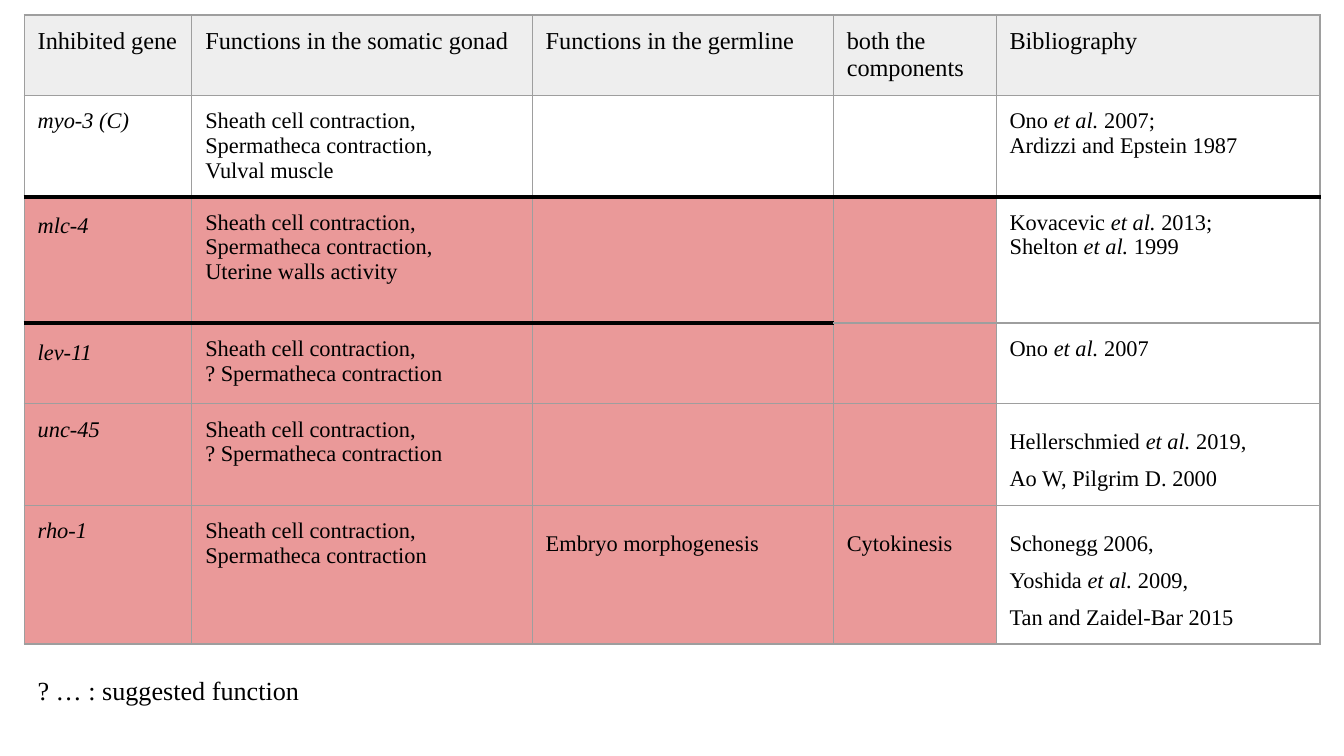
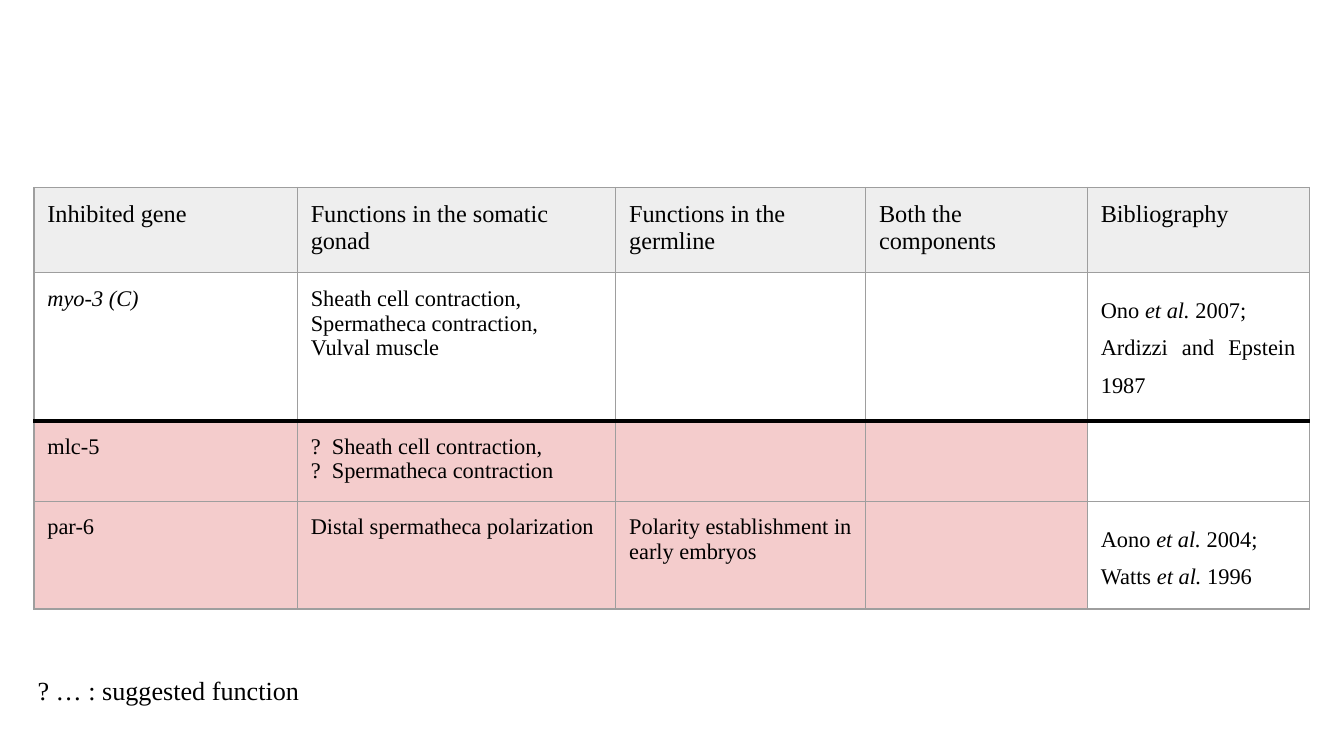
from dataclasses import dataclass

import lxml.etree
import pptx
import pptx.dml.color
import pptx.enum.text
import pptx.oxml.ns
import pptx.util

Pt = pptx.util.Pt

FONT = "Times New Roman"
INK = "000000"
GRID = "9E9E9E"
HEADER_FILL = "EEEEEE"
CITATION_FILL = "FFFFFF"
STRONG_EFFECT = "EA9999"
MILD_EFFECT = "F4CCCC"
INSET = 7.2
HEADER_SIZE, ENTRY_SIZE, LEGEND_SIZE = 13, 12, 14
THIN, HEAVY = 0.75, 2.25
CONTROL_ROW = 1
LEGEND = "? … : suggested function"


@dataclass(frozen=True)
class Entry:
    lines: tuple[str, ...] = ()
    spacing: float | None = None
    justified: bool = False
    after: float | None = None


@dataclass(frozen=True)
class GeneTable:
    left: float
    top: float
    height: float
    widths: tuple[float, ...]
    heights: tuple[float, ...]
    effect_fill: str
    heavy_below: dict[int, int]
    rows: tuple[tuple[Entry, ...], ...]


def plain(*lines: str) -> Entry:
    return Entry(lines)


def spaced(*lines: str) -> Entry:
    return Entry(lines, spacing=1.5, justified=True)


def gene(name: str) -> Entry:
    return Entry((f"*{name}*",), spacing=1.15, after=12)


def header(both: str) -> tuple[Entry, ...]:
    titles = ("Inhibited gene", "Functions in the somatic gonad",
              "Functions in the germline", both, "Bibliography")
    return tuple(plain(title) for title in titles)


def control(bibliography: Entry) -> tuple[Entry, ...]:
    functions = plain("Sheath cell contraction,", "Spermatheca contraction,", "Vulval muscle")
    return plain("*myo-3 (C)*"), functions, EMPTY, EMPTY, bibliography


EMPTY = Entry()
SHEATH = "Sheath cell contraction,"
SUGGESTED = plain(SHEATH, "? Spermatheca contraction")
CONTROL_CITATIONS = ("Ono *et al. *2007;", "Ardizzi and Epstein 1987")

CONTRACTILITY_GENES = GeneTable(
    left=13, top=8, height=345.6,
    widths=(89.8, 182.4, 161.3, 87.2, 173.5),
    heights=(30.24, 43.2, 67.7, 43.2, 43.2, 47.5),
    effect_fill=STRONG_EFFECT,
    heavy_below={1: 5, 2: 3},
    rows=(
        header("both the components"),
        control(plain(*CONTROL_CITATIONS)),
        (gene("mlc-4"),
         plain(SHEATH, "Spermatheca contraction,", "Uterine walls activity"),
         EMPTY, EMPTY,
         plain("Kovacevic *et al.* 2013;", "Shelton *et al. *1999")),
        (gene("lev-11"), SUGGESTED, EMPTY, EMPTY, plain("Ono *et al. *2007")),
        (plain("*unc-45*"), SUGGESTED, EMPTY, EMPTY,
         spaced("Hellerschmied *et al.* 2019, ", "Ao W, Pilgrim D. 2000")),
        (plain("*rho-1*"), plain(SHEATH, "Spermatheca contraction"),
         spaced("Embryo morphogenesis"), spaced("Cytokinesis "),
         spaced("Schonegg 2006,", "Yoshida *et al.* 2009,", "Tan and Zaidel-Bar 2015")),
    ),
)

POLARITY_GENES = GeneTable(
    left=18.2, top=100.5, height=223.2,
    widths=(141.1, 170.6, 133.9, 118.8, 118.8),
    heights=(30.24, 43.2, 43.2, 57.6),
    effect_fill=MILD_EFFECT,
    heavy_below={1: 5},
    rows=(
        header("Both the components"),
        control(spaced(*CONTROL_CITATIONS)),
        (plain("mlc-5"),
         plain("?  Sheath cell contraction,", "?  Spermatheca contraction"),
         EMPTY, EMPTY, EMPTY),
        (plain("par-6"), plain("Distal spermatheca polarization"),
         plain("Polarity establishment in early embryos"), EMPTY,
         spaced("Aono *et al. *2004;", "Watts *et al.* 1996")),
    ),
)


def colour(value: str) -> pptx.dml.color.RGBColor:
    return pptx.dml.color.RGBColor.from_string(value)


def set_insets(holder) -> None:
    for side in ("left", "top", "right", "bottom"):
        setattr(holder, f"margin_{side}", Pt(INSET))


def write(frame, entry: Entry, size: float) -> None:
    frame.word_wrap = True
    for index, line in enumerate(entry.lines):
        paragraph = frame.add_paragraph() if index else frame.paragraphs[0]
        if entry.spacing:
            paragraph.line_spacing = entry.spacing
        if entry.after:
            paragraph.space_after = Pt(entry.after)
        paragraph.alignment = (pptx.enum.text.PP_ALIGN.JUSTIFY if entry.justified
                               else pptx.enum.text.PP_ALIGN.LEFT)
        for position, part in enumerate(line.split("*")):
            if part:
                run = paragraph.add_run()
                run.text = part
                run.font.name = FONT
                run.font.size = Pt(size)
                run.font.bold = False
                run.font.italic = position % 2 == 1
                run.font.color.rgb = colour(INK)


def add_border(cell, side: str, heavy: bool) -> None:
    qn = pptx.oxml.ns.qn
    width = Pt(HEAVY if heavy else THIN)
    edge = lxml.etree.SubElement(cell._tc.get_or_add_tcPr(), qn(f"a:ln{side}"), w=str(width))
    fill = lxml.etree.SubElement(edge, qn("a:solidFill"))
    lxml.etree.SubElement(fill, qn("a:srgbClr"), val=INK if heavy else GRID)


def cell_fill(genes: GeneTable, row: int, column: int) -> str | None:
    if row == 0:
        return HEADER_FILL
    if column == len(genes.widths) - 1:
        return CITATION_FILL
    return None if row == CONTROL_ROW else genes.effect_fill


def draw_genes(slide, genes: GeneTable) -> None:
    frame = slide.shapes.add_table(
        len(genes.heights), len(genes.widths), Pt(genes.left), Pt(genes.top),
        Pt(sum(genes.widths)), Pt(genes.height))
    table = frame.table
    table.first_row = False
    table.horz_banding = False
    for column, width in zip(table.columns, genes.widths):
        column.width = Pt(width)
    for row, height in zip(table.rows, genes.heights):
        row.height = Pt(height)
    frame.height = Pt(genes.height)
    for r, entries in enumerate(genes.rows):
        for c, entry in enumerate(entries):
            cell = table.cell(r, c)
            set_insets(cell)
            add_border(cell, "L", False)
            add_border(cell, "R", False)
            add_border(cell, "T", c < genes.heavy_below.get(r - 1, 0))
            add_border(cell, "B", c < genes.heavy_below.get(r, 0))
            fill = cell_fill(genes, r, c)
            if fill:
                cell.fill.solid()
                cell.fill.fore_color.rgb = colour(fill)
            else:
                cell.fill.background()
            write(cell.text_frame, entry, ENTRY_SIZE if r else HEADER_SIZE)


def draw_legend(slide) -> None:
    legend = slide.shapes.add_textbox(Pt(13), Pt(354.2), Pt(577.4), Pt(31.7))
    set_insets(legend.text_frame)
    write(legend.text_frame, plain(LEGEND), LEGEND_SIZE)
    legend.text_frame.auto_size = pptx.enum.text.MSO_AUTO_SIZE.SHAPE_TO_FIT_TEXT


def main() -> None:
    deck = pptx.Presentation()
    deck.slide_width, deck.slide_height = Pt(720), Pt(405)
    for genes in (CONTRACTILITY_GENES, POLARITY_GENES):
        slide = deck.slides.add_slide(deck.slide_layouts[6])
        draw_genes(slide, genes)
        draw_legend(slide)
    deck.save("out.pptx")


if __name__ == "__main__":
    main()
